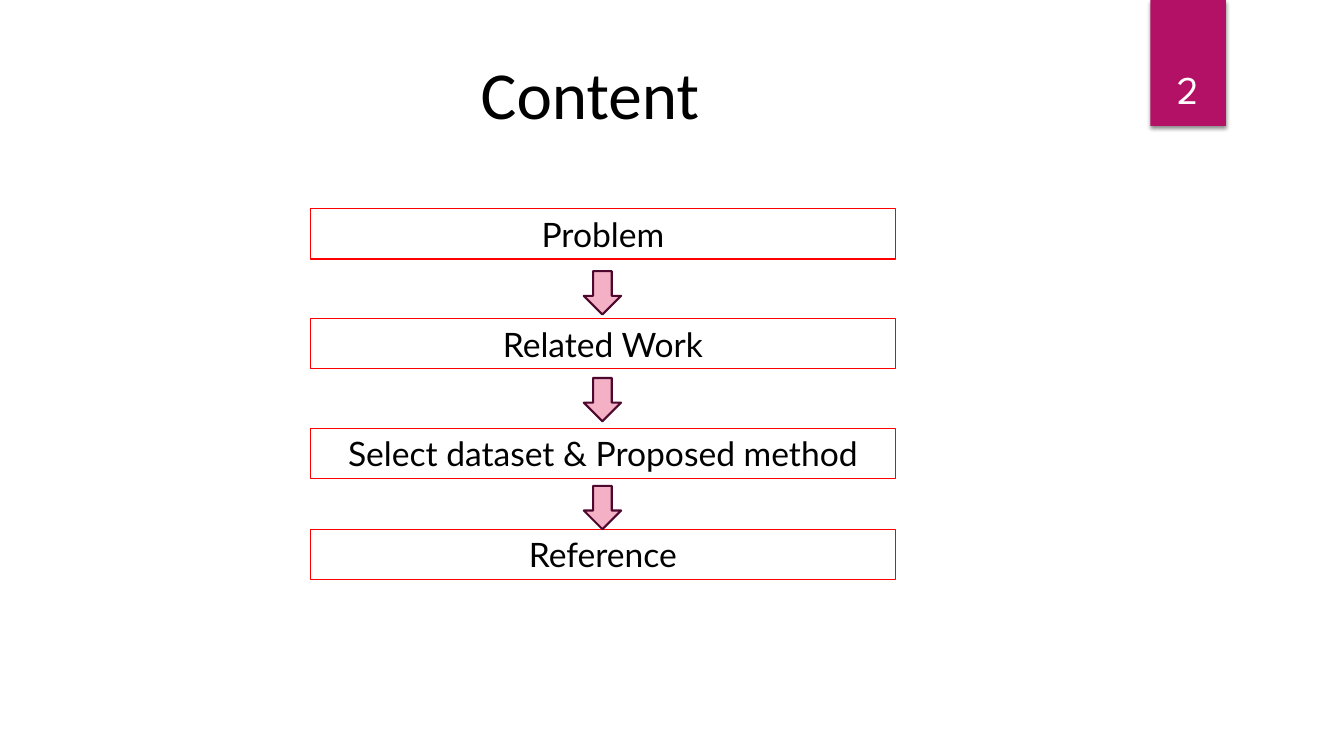
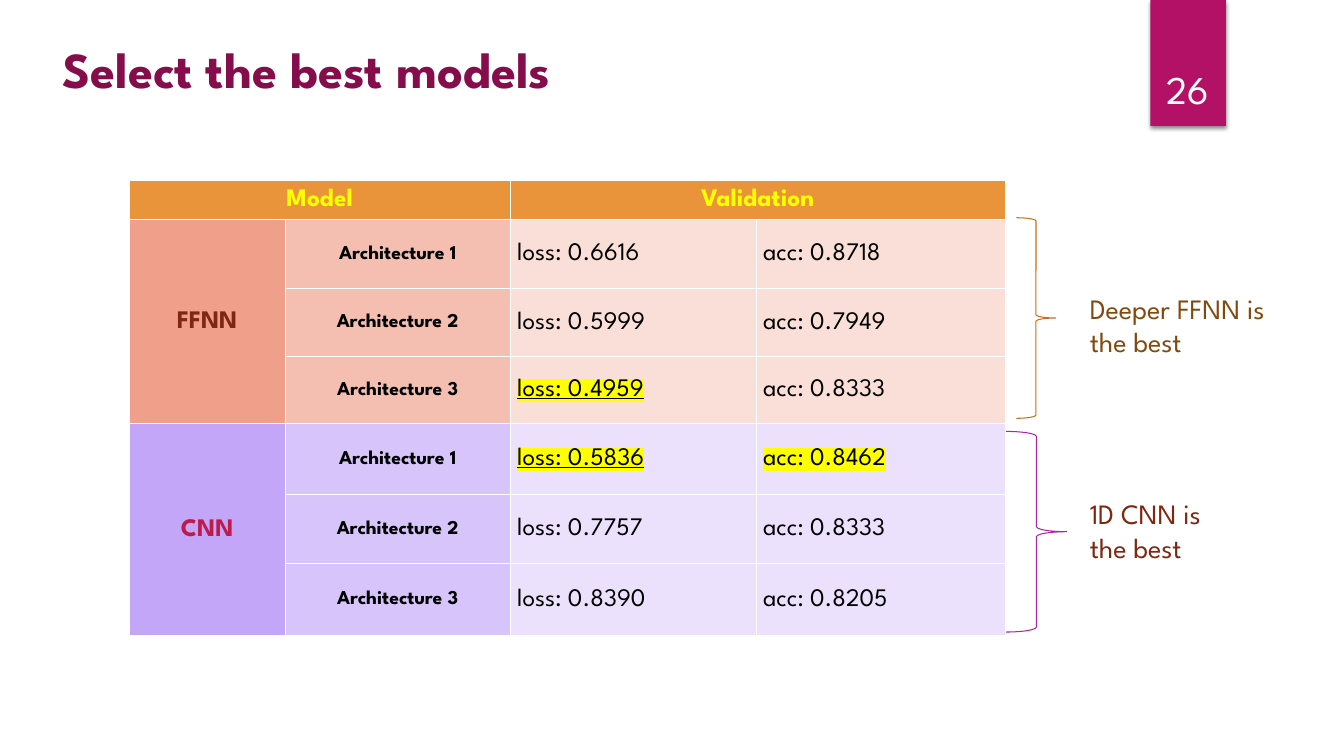
from lxml import etree
from pptx import Presentation
from pptx.dml.color import RGBColor
from pptx.enum.shapes import MSO_SHAPE
from pptx.enum.text import MSO_ANCHOR, PP_ALIGN
from pptx.oxml.ns import qn
from pptx.util import Inches, Pt

RECTANGLE = MSO_SHAPE.RECTANGLE
DOWN_ARROW = MSO_SHAPE.DOWN_ARROW
RIGHT_BRACE = MSO_SHAPE.RIGHT_BRACE
LEFT, CENTER = PP_ALIGN.LEFT, PP_ALIGN.CENTER
TOP, MIDDLE, BOTTOM = MSO_ANCHOR.TOP, MSO_ANCHOR.MIDDLE, MSO_ANCHOR.BOTTOM
SPARTAN, LATO, CALIBRI = "League Spartan", "Lato", "Calibri"
BLACK, WHITE, YELLOW, RED = "000000", "FFFFFF", "FFFF00", "FF0000"
BAND, HEADER, BROWN = "B31166", "E9943A", "7E2812"


def color(value):
    return RGBColor.from_string(value)


def write(frame, text, size, font, ink, bold=False, align=LEFT, anchor=TOP):
    frame.word_wrap = True
    frame.vertical_anchor = anchor
    para = frame.paragraphs[0]
    para.alignment = align
    span = para.add_run()
    span.text = text
    span.font.size = Pt(size)
    span.font.name = font
    span.font.bold = bold
    span.font.color.rgb = color(ink)
    return span


deck = Presentation()
deck.slide_width = Inches(13.33)
deck.slide_height = Inches(7.5)
content_page = deck.slides.add_slide(deck.slide_layouts[6])
models_page = deck.slides.add_slide(deck.slide_layouts[6])

for page, number in ((content_page, "2"), (models_page, "26")):
    band = page.shapes.add_shape(RECTANGLE, Inches(11.41), 0, Inches(0.75), Inches(1.25))
    band.fill.solid()
    band.fill.fore_color.rgb = color(BAND)
    band.line.fill.background()
    band.shadow.inherit = False
    effects = band._element.spPr.find(qn("a:effectLst"))
    shadow = etree.SubElement(effects, qn("a:outerShdw"), blurRad=str(Pt(3)),
                              dist=str(Pt(2)), dir="5400000", rotWithShape="0")
    shade = etree.SubElement(shadow, qn("a:srgbClr"), val=BLACK)
    etree.SubElement(shade, qn("a:alpha"), val="45000")
    box = page.shapes.add_textbox(Inches(11.32), Inches(0.32), Inches(0.92), Inches(0.84))
    write(box.text_frame, number, 28, SPARTAN, WHITE, align=CENTER, anchor=BOTTOM)

labels = (
    (content_page, 4.67, 0.47, 4.33, 0.91, "Content", 48, CALIBRI, BLACK, False),
    (models_page, 0.52, 0.33, 6.67, 0.71, "Select the best models", 36, SPARTAN, "860D4C", True),
    (models_page, 10.71, 2.84, 2.02, 0.77, "Deeper FFNN is the best", 20, SPARTAN, "834A0F", False),
    (models_page, 10.71, 4.88, 1.58, 0.77, "1D CNN is the best", 20, SPARTAN, BROWN, False),
)
for page, left, top, width, height, text, size, font, ink, bold in labels:
    box = page.shapes.add_textbox(Inches(left), Inches(top), Inches(width), Inches(height))
    write(box.text_frame, text, size, font, ink, bold)

steps = (
    (2.07, "Problem"),
    (3.16, "Related Work"),
    (4.25, "Select dataset & Proposed method"),
    (5.25, "Reference"),
)
for top, text in steps:
    step = content_page.shapes.add_shape(RECTANGLE, Inches(3.08), Inches(top), Inches(5.8), Inches(0.5))
    step.fill.background()
    step.line.color.rgb = color(RED)
    step.line.width = Pt(0.75)
    step.shadow.inherit = False
    write(step.text_frame, text, 24, LATO, BLACK, align=CENTER)

for top in (2.69, 3.75, 4.82):
    arrow = content_page.shapes.add_shape(DOWN_ARROW, Inches(5.79), Inches(top), Inches(0.37), Inches(0.43))
    arrow.fill.solid()
    arrow.fill.fore_color.rgb = color("F4B1C5")
    arrow.line.color.rgb = color("4E072D")
    arrow.line.width = Pt(1.5)
    arrow.shadow.inherit = False

column_widths = (1.55, 2.23, 2.44, 2.47)
row_heights = (0.39, 0.68, 0.68, 0.66, 0.71, 0.68, 0.72)
table = models_page.shapes.add_table(len(row_heights), len(column_widths), Inches(1.28), Inches(1.79),
                                     Inches(8.7), Inches(4.52)).table
for column, width in zip(table.columns, column_widths):
    column.width = Inches(width)
for row, height in zip(table.rows, row_heights):
    row.height = Inches(height)

groups = (
    ("FFNN", BROWN, ("EF9F8A", "F4BFB1", "FADFD8", "FADFD8"),
     (("0.6616", "0.8718"), ("0.5999", "0.7949"), ("0.4959", "0.8333"))),
    ("CNN", "BD1B4C", ("C3A6F7", "D7C4FA", "EBE1FC", "EBE1FC"),
     (("0.5836", "0.8462"), ("0.7757", "0.8333"), ("0.8390", "0.8205"))),
)
best_cells = {(3, 2), (4, 2), (4, 3)}
fills = [(HEADER,) * 4]
for name, ink, shades, scores in groups:
    fills += [shades] * len(scores)

for row_index, row_fills in enumerate(fills):
    for column_index, fill in enumerate(row_fills):
        cell = table.cell(row_index, column_index)
        cell.margin_left = Inches(0.07 if row_index and column_index > 1 else 0.01)
        cell.margin_right = cell.margin_top = Inches(0.01)
        cell.margin_bottom = 0
        cell.vertical_anchor = MIDDLE
        cell.fill.solid()
        cell.fill.fore_color.rgb = color(fill)
        properties = cell._tc.get_or_add_tcPr()
        for position, side in enumerate(("a:lnL", "a:lnR", "a:lnT", "a:lnB")):
            border = etree.Element(qn(side), w=str(Pt(1)))
            paint = etree.SubElement(border, qn("a:solidFill"))
            etree.SubElement(paint, qn("a:srgbClr"), val=WHITE)
            properties.insert(position, border)

for column_index, text in ((0, "Model"), (2, "Validation")):
    cell = table.cell(0, column_index)
    cell.merge(table.cell(0, column_index + 1))
    write(cell.text_frame, text, 18, SPARTAN, YELLOW, True, CENTER, MIDDLE)

first_row = 1
for name, ink, shades, scores in groups:
    cell = table.cell(first_row, 0)
    cell.merge(table.cell(first_row + len(scores) - 1, 0))
    write(cell.text_frame, name, 18, SPARTAN, ink, True, CENTER, MIDDLE)
    for offset, (loss, accuracy) in enumerate(scores):
        row_index = first_row + offset
        write(table.cell(row_index, 1).text_frame, f"Architecture {offset + 1}", 14, SPARTAN, BLACK,
              True, CENTER, MIDDLE)
        for column_index, text in ((2, f"loss: {loss}"), (3, f"acc: {accuracy}")):
            span = write(table.cell(row_index, column_index).text_frame, text, 18, SPARTAN, BLACK,
                         anchor=MIDDLE)
            if (row_index, column_index) in best_cells:
                span.font.underline = column_index == 2
                highlight = etree.Element(qn("a:highlight"))
                etree.SubElement(highlight, qn("a:srgbClr"), val=YELLOW)
                span._r.rPr.find(qn("a:solidFill")).addnext(highlight)
    first_row += len(scores)

for left, top, width, ink in ((10.08, 2.16, 0.39, "C47016"), (9.98, 4.28, 0.6, "A925A5")):
    brace = models_page.shapes.add_shape(RIGHT_BRACE, Inches(left), Inches(top), Inches(width), Inches(1.99))
    brace.fill.background()
    brace.line.color.rgb = color(ink)
    brace.line.width = Pt(0.75)
    brace.shadow.inherit = False

deck.save("out.pptx")
